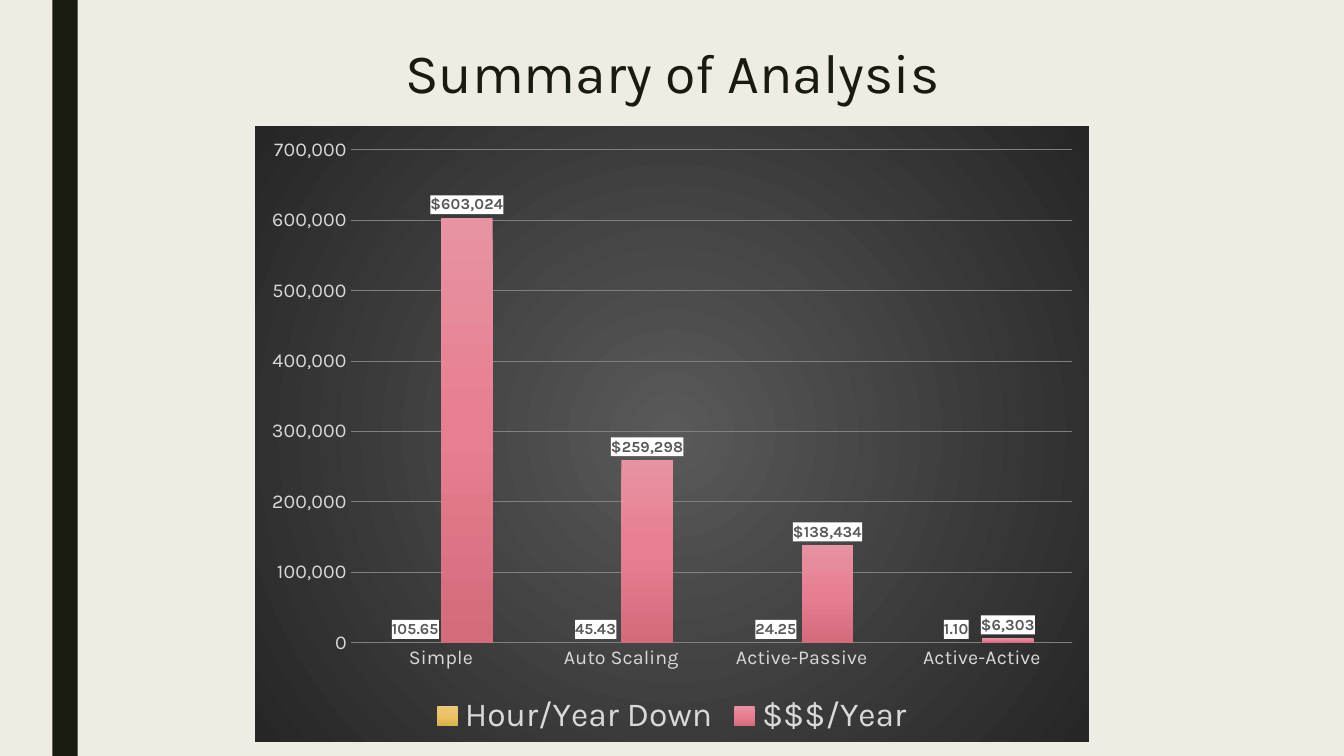
"""Build the summary slide with its clustered column chart."""
from dataclasses import dataclass

from lxml import etree
from pptx import Presentation
from pptx import util as u
from pptx.chart.data import CategoryChartData
from pptx.dml.color import RGBColor
from pptx.enum import chart as ch, shapes, text
from pptx.oxml import ns, parse_xml

FONT = "Karla"
COLORS = {
    "background": "EFEDE3",
    "ink": "191B0E",
    "axis_text": "D9D9D9",
    "grid": "808080",
    "label_text": "595959",
    "label_fill": "FFFFFF",
    "chart_center": "595959",
    "chart_edge": "262626",
}
LINEAR = '<a:lin ang="5400000" scaled="0"/>'
RADIAL = ('<a:path path="circle"><a:fillToRect l="50000" t="50000" '
          'r="50000" b="50000"/></a:path>')
CATEGORIES = ["Simple", "Auto Scaling", "Active-Passive", "Active-Active"]


@dataclass(frozen=True)
class Measure:
    name: str
    values: tuple[float, ...]
    label_format: str
    gradient: tuple[str, ...]


MEASURES = [
    Measure("Hour/Year Down", (105.65, 45.43, 24.25, 1.1), "0.00",
            ("EAC87E", "ECC263", "D9B051")),
    Measure("$$$/Year", (603024, 259298, 138434, 6303), '"$"#,##0',
            ("E793A2", "E77E91", "D36B7D")),
]


def rgb(name: str) -> RGBColor:
    return RGBColor.from_string(COLORS[name])


def set_font(font, size: float, color: str, bold: bool = False) -> None:
    font.name = FONT
    font.size = u.Pt(size)
    font.bold = bold
    font.color.rgb = rgb(color)


def gradient_fill(stops: tuple[str, ...], direction: str) -> etree._Element:
    step = 100000 // (len(stops) - 1)
    stop_xml = "".join(
        f'<a:gs pos="{index * step}"><a:srgbClr val="{stop}"/></a:gs>'
        for index, stop in enumerate(stops))
    return parse_xml(f'<a:gradFill {ns.nsdecls("a")} rotWithShape="1">'
                     f'<a:gsLst>{stop_xml}</a:gsLst>{direction}</a:gradFill>')


def shape_properties(fill: etree._Element) -> etree._Element:
    properties = parse_xml(f'<c:spPr {ns.nsdecls("c", "a")}>'
                           '<a:ln><a:noFill/></a:ln></c:spPr>')
    properties.insert(0, fill)
    return properties


def solid_fill(color: str) -> etree._Element:
    return parse_xml(f'<a:solidFill {ns.nsdecls("a")}>'
                     f'<a:srgbClr val="{COLORS[color]}"/></a:solidFill>')


def style_series(series, measure: Measure) -> None:
    series.invert_if_negative = False
    series.format.line.fill.background()
    series.format.fill.solid()
    solid = series._element.spPr.find(ns.qn("a:solidFill"))
    solid.getparent().replace(solid, gradient_fill(measure.gradient, LINEAR))

    labels = series.data_labels
    labels.show_value = True
    labels.number_format = measure.label_format
    labels.number_format_is_linked = False
    labels.position = ch.XL_LABEL_POSITION.OUTSIDE_END
    set_font(labels.font, 11, "label_text", bold=True)
    labels._element.find(ns.qn("c:txPr")).addprevious(
        shape_properties(solid_fill("label_fill")))


def style_axes(chart) -> None:
    for axis in (chart.category_axis, chart.value_axis):
        axis.major_tick_mark = ch.XL_TICK_MARK.NONE
        axis.minor_tick_mark = ch.XL_TICK_MARK.NONE
        axis.format.line.fill.background()
        set_font(axis.tick_labels.font, 14, "axis_text")
    values = chart.value_axis
    values.minimum_scale, values.maximum_scale = 0, 700000
    values.major_unit = 100000
    values.tick_labels.number_format = "#,##0"
    values.tick_labels.number_format_is_linked = False
    values.major_gridlines.format.line.color.rgb = rgb("grid")
    values.major_gridlines.format.line.width = u.Pt(0.75)


def add_analysis_chart(slide) -> None:
    chart_data = CategoryChartData()
    chart_data.categories = CATEGORIES
    for measure in MEASURES:
        chart_data.add_series(measure.name, measure.values)
    chart = slide.shapes.add_chart(
        ch.XL_CHART_TYPE.COLUMN_CLUSTERED, u.Inches(2.53), u.Inches(1.25),
        u.Inches(8.27), u.Inches(6.11), chart_data).chart
    chart.has_title = False
    chart.font.name = FONT
    chart.font.size = u.Pt(10)
    backdrop = gradient_fill(
        (COLORS["chart_center"], COLORS["chart_edge"]), RADIAL)
    chart._chartSpace.find(ns.qn("c:txPr")).addprevious(
        shape_properties(backdrop))

    style_axes(chart)
    chart.has_legend = True
    chart.legend.position = ch.XL_LEGEND_POSITION.BOTTOM
    chart.legend.include_in_layout = False
    set_font(chart.legend.font, 24, "axis_text")

    plot = chart.plots[0]
    plot.gap_width = 150
    plot.overlap = 0
    plot.vary_by_categories = False
    for series, measure in zip(plot.series, MEASURES):
        style_series(series, measure)


def add_side_bar(slide) -> None:
    bar = slide.shapes.add_shape(
        shapes.MSO_SHAPE.RECTANGLE, u.Inches(0.52), 0,
        u.Inches(0.25), u.Inches(7.5))
    bar.shadow.inherit = False
    bar.fill.solid()
    bar.fill.fore_color.rgb = rgb("ink")
    bar.line.fill.background()


def add_title(slide) -> None:
    frame = slide.shapes.add_textbox(
        u.Inches(0.92), u.Inches(0.4), u.Inches(11.5),
        u.Inches(0.7)).text_frame
    frame.word_wrap = True
    frame.vertical_anchor = text.MSO_ANCHOR.MIDDLE
    paragraph = frame.paragraphs[0]
    paragraph.text = "Summary of Analysis"
    paragraph.alignment = text.PP_ALIGN.CENTER
    paragraph.line_spacing = 0.89
    set_font(paragraph.font, 39.6, "ink")


def main() -> None:
    presentation = Presentation()
    presentation.slide_width = u.Inches(13.33)
    presentation.slide_height = u.Inches(7.5)
    slide = presentation.slides.add_slide(presentation.slide_layouts[6])
    slide.background.fill.solid()
    slide.background.fill.fore_color.rgb = rgb("background")
    add_side_bar(slide)
    add_title(slide)
    add_analysis_chart(slide)
    presentation.save("out.pptx")


if __name__ == "__main__":
    main()
